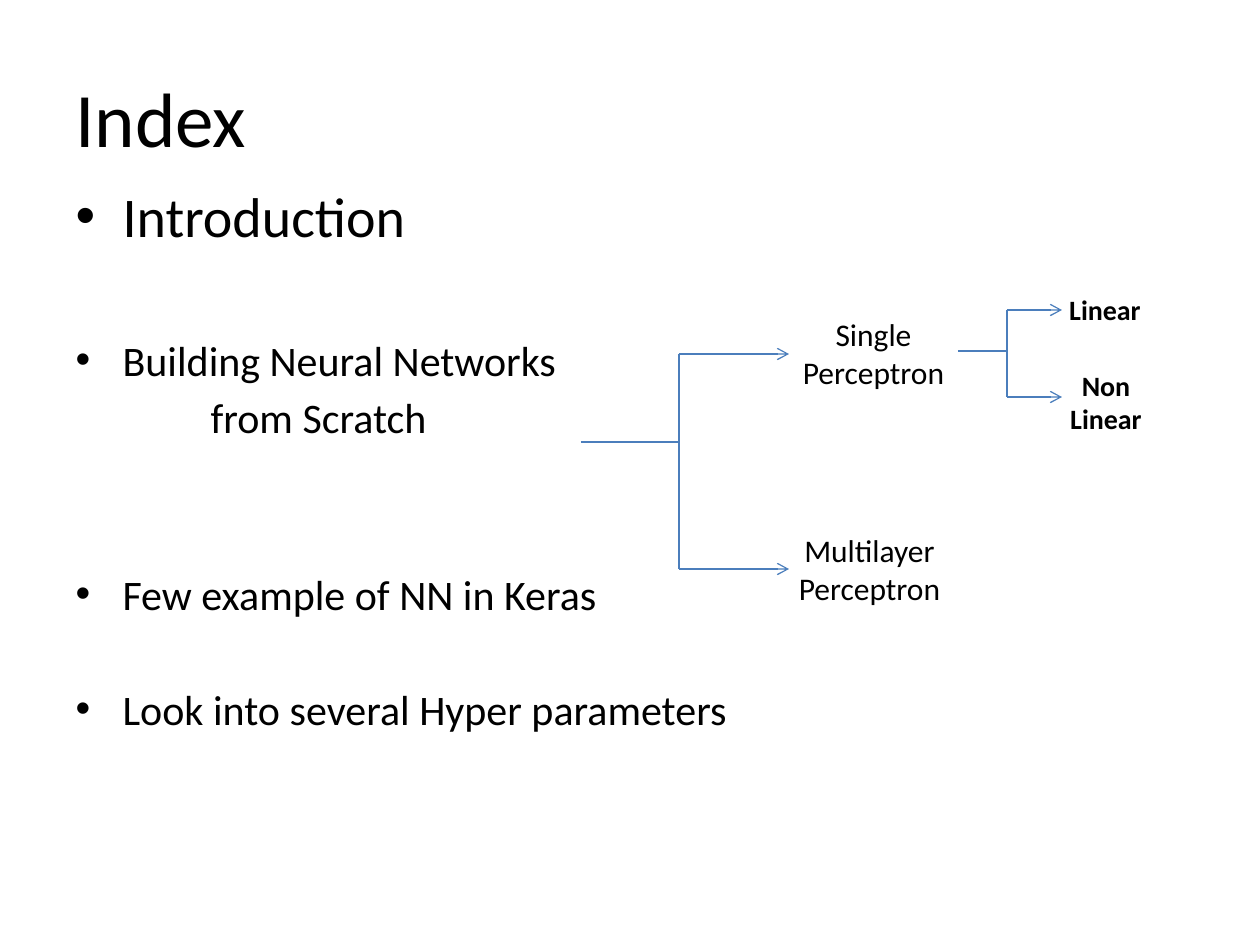
import dataclasses

import pptx
import pptx.dml.color
import pptx.enum.shapes
import pptx.enum.text
import pptx.oxml.ns
import pptx.util
from lxml import etree

ALIGN = pptx.enum.text.PP_ALIGN
ANCHOR = pptx.enum.text.MSO_ANCHOR
FIT = pptx.enum.text.MSO_AUTO_SIZE


@dataclasses.dataclass(frozen=True)
class Theme:
    font: str = "Calibri"
    ink: str = "000000"
    line: str = "4B7EBC"
    line_width: float = 0.75
    title: int = 44
    lead: int = 32
    item: int = 24
    branch: int = 18
    leaf: int = 16


def px(value):
    return pptx.util.Emu(round(value * 914400 / 126))


def color(value):
    return pptx.dml.color.RGBColor.from_string(value)


def add_tag(parent, name, **attributes):
    return etree.SubElement(parent, pptx.oxml.ns.qn(name), **attributes)


def write(para, text, *, theme, size, bold=False, align=ALIGN.LEFT, before=None):
    para.alignment = align
    if before is not None:
        para.space_before = pptx.util.Pt(before)
    span = para.add_run()
    span.text = text
    span.font.name = theme.font
    span.font.size = pptx.util.Pt(size)
    span.font.bold = bold
    span.font.color.rgb = color(theme.ink)


class Page:
    def __init__(self, deck, theme):
        self.theme = theme
        self.slide = deck.slides.add_slide(deck.slide_layouts[1])

    def place(self, box, left, top, width, height):
        box.left, box.top = px(left), px(top)
        box.width, box.height = px(width), px(height)
        box.text_frame.word_wrap = True
        box.text_frame.auto_size = FIT.NONE
        return box.text_frame

    def title(self, text, *bounds):
        frame = self.place(self.slide.shapes.title, *bounds)
        frame.vertical_anchor = ANCHOR.MIDDLE
        write(frame.paragraphs[0], text, theme=self.theme, size=self.theme.title)

    def items(self, entries, *bounds):
        frame = self.place(self.slide.placeholders[1], *bounds)
        for index, (text, size, before, indent) in enumerate(entries):
            para = frame.add_paragraph() if index else frame.paragraphs[0]
            write(para, text, theme=self.theme, size=size, before=before)
            settings = para._p.get_or_add_pPr()
            if indent:
                settings.set("marL", str(px(indent)))
                settings.set("indent", "0")
                add_tag(settings, "a:buNone")
            else:
                settings.set("marL", str(px(47)))
                settings.set("indent", str(-px(47)))
                add_tag(settings, "a:buFont", typeface="Arial")
                add_tag(settings, "a:buChar", char="•")

    def label(self, text, *bounds, size, bold=False):
        frame = self.place(self.slide.shapes.add_textbox(0, 0, 0, 0), *bounds)
        write(frame.paragraphs[0], text, theme=self.theme, size=size,
              bold=bold, align=ALIGN.CENTER)

    def line(self, start, end, arrow=False):
        connector = self.slide.shapes.add_connector(
            pptx.enum.shapes.MSO_CONNECTOR.STRAIGHT, *map(px, start + end))
        connector.line.color.rgb = color(self.theme.line)
        connector.line.width = pptx.util.Pt(self.theme.line_width)
        if arrow:
            add_tag(connector.line._get_or_add_ln(), "a:tailEnd", type="arrow")
        add_tag(connector._element.spPr, "a:effectLst")

    def fork(self, stem, spine, tip, level, branches):
        self.line((stem, level), (spine, level))
        self.line((spine, branches[0]), (spine, branches[-1]))
        for branch in branches:
            self.line((spine, branch), (tip, branch), arrow=True)


def main():
    theme = Theme()
    deck = pptx.Presentation()
    deck.slide_width, deck.slide_height = px(1260), px(945)
    page = Page(deck, theme)

    page.title("Index", 63, 38, 1134, 157)
    page.items([
        ("Introduction", theme.lead, None, 0),
        ("Building Neural Networks", theme.item, 49, 0),
        ("from Scratch", theme.item, 4, 135),
        ("Few example of NN in Keras", theme.item, 72, 0),
        ("Look into several Hyper parameters", theme.item, 37, 0),
    ], 63, 175, 1134, 669)

    page.fork(581, 679, 789, 442, (354, 569))
    page.label("Single Perceptron", 789, 309, 169, 89, size=theme.branch)
    page.label("Multilayer Perceptron", 785, 525, 169, 89, size=theme.branch)

    page.fork(958, 1007, 1062, 351, (310, 397))
    page.label("Linear", 1047, 286, 116, 47, size=theme.leaf, bold=True)
    page.label("Non Linear", 1048, 362, 116, 81, size=theme.leaf, bold=True)

    deck.save("out.pptx")


if __name__ == "__main__":
    main()
